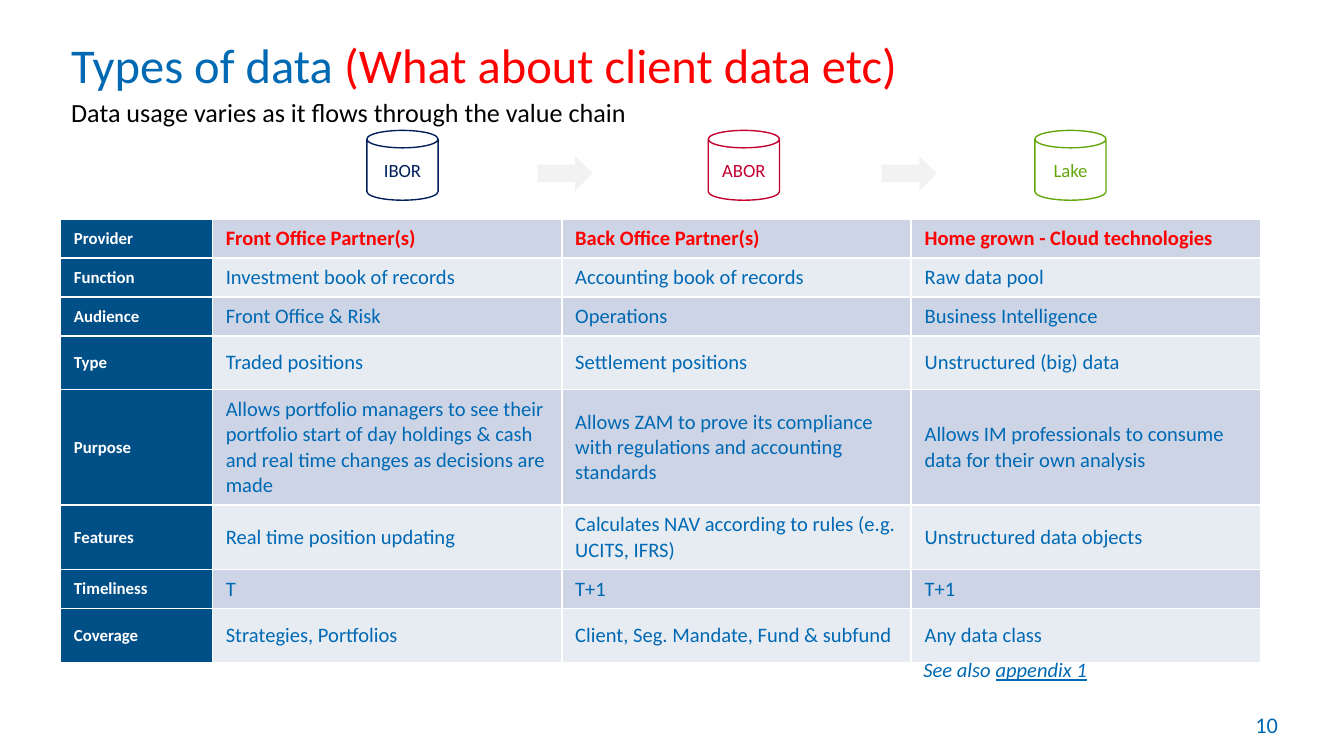
from dataclasses import dataclass

import pptx
import pptx.dml.color
import pptx.enum.shapes
import pptx.enum.text
import pptx.util
from pptx.util import Inches

ANCHOR = pptx.enum.text.MSO_ANCHOR
ALIGN = pptx.enum.text.PP_ALIGN
SHAPE = pptx.enum.shapes.MSO_SHAPE


@dataclass(frozen=True)
class Theme:
    font: str = "Calibri"
    blue: str = "0069B4"
    red: str = "FF0000"
    black: str = "000000"
    white: str = "FFFFFF"
    header: str = "004F87"
    bands: tuple = ("CCD4E5", "E7EBF2")
    arrow: str = "F2F2F2"
    title_size: float = 26
    subtitle_size: float = 14
    page_size: float = 12
    body_size: float = 11
    store_size: float = 10
    label_size: float = 9


@dataclass(frozen=True)
class Store:
    name: str
    left: float
    color: str


@dataclass(frozen=True)
class Row:
    label: str
    height: float
    values: tuple


THEME = Theme()

SLIDE_WIDTH = 10
SLIDE_HEIGHT = SLIDE_WIDTH * 9 / 16

STORES = (
    Store("IBOR", 2.73, "001F5B"),
    Store("ABOR", 5.27, "C3002F"),
    Store("Lake", 7.7, "63A70A"),
)
ARROW_LEFTS = (4, 6.56)
COLUMN_WIDTHS = (1.13, 2.6, 2.6, 2.6)

ROWS = (
    Row("Provider", 0.29, ("Front Office Partner(s)", "Back Office Partner(s)",
                           "Home grown - Cloud technologies")),
    Row("Function", 0.29, ("Investment book of records", "Accounting book of records",
                           "Raw data pool")),
    Row("Audience", 0.29, ("Front Office & Risk", "Operations", "Business Intelligence")),
    Row("Type", 0.4, ("Traded positions", "Settlement positions", "Unstructured (big) data")),
    Row("Purpose", 0.86, (
        "Allows portfolio managers to see their portfolio start of day holdings & cash "
        "and real time changes as decisions are made",
        "Allows ZAM to prove its compliance with regulations and accounting standards",
        "Allows IM professionals to consume data for their own analysis")),
    Row("Features", 0.48, ("Real time position updating",
                           "Calculates NAV according to rules (e.g. UCITS, IFRS)",
                           "Unstructured data objects")),
    Row("Timeliness", 0.29, ("T", "T+1", "T+1")),
    Row("Coverage", 0.4, ("Strategies, Portfolios", "Client, Seg. Mandate, Fund & subfund",
                          "Any data class")),
)


def rgb(color: str) -> pptx.dml.color.RGBColor:
    return pptx.dml.color.RGBColor.from_string(color)


def write(paragraph, text: str, *, size: float, color: str, bold: bool = False,
          italic: bool = False, underline: bool = False) -> None:
    run = paragraph.add_run()
    run.text = text
    font = run.font
    font.name, font.size, font.color.rgb = THEME.font, pptx.util.Pt(size), rgb(color)
    font.bold, font.italic, font.underline = bold, italic, underline


def set_margins(frame, left: float = 0, top: float = 0, right: float = 0,
                bottom: float = 0) -> None:
    frame.margin_left, frame.margin_top = Inches(left), Inches(top)
    frame.margin_right, frame.margin_bottom = Inches(right), Inches(bottom)


def add_text_box(slide, left: float, top: float, width: float, height: float,
                 anchor=ANCHOR.TOP, spacing=None, wrap: bool = True):
    box = slide.shapes.add_textbox(Inches(left), Inches(top), Inches(width), Inches(height))
    frame = box.text_frame
    frame.word_wrap = wrap
    frame.vertical_anchor = anchor
    set_margins(frame)
    frame.paragraphs[0].line_spacing = spacing
    return frame


def add_filled_shape(slide, kind, left: float, top: float, width: float, height: float,
                     fill: str):
    shape = slide.shapes.add_shape(kind, Inches(left), Inches(top), Inches(width),
                                   Inches(height))
    shape.shadow.inherit = False
    shape.fill.solid()
    shape.fill.fore_color.rgb = rgb(fill)
    shape.line.fill.background()
    return shape


def add_store(slide, store: Store) -> None:
    shape = add_filled_shape(slide, SHAPE.CAN, store.left, 0.97, 0.53, 0.52, THEME.white)
    shape.line.color.rgb = rgb(store.color)
    shape.line.width = pptx.util.Pt(0.75)
    frame = shape.text_frame
    set_margins(frame)
    frame.vertical_anchor = ANCHOR.MIDDLE
    paragraph = frame.paragraphs[0]
    paragraph.alignment = ALIGN.CENTER
    write(paragraph, store.name, size=THEME.store_size, color=store.color)


def fill_cell(cell, text: str, fill: str, size: float, color: str, bold: bool) -> None:
    cell.fill.solid()
    cell.fill.fore_color.rgb = rgb(fill)
    cell.vertical_anchor = ANCHOR.MIDDLE
    write(cell.text_frame.paragraphs[0], text, size=size, color=color, bold=bold)


def add_usage_table(slide) -> None:
    frame = slide.shapes.add_table(
        len(ROWS), len(COLUMN_WIDTHS), Inches(0.45), Inches(1.63),
        Inches(sum(COLUMN_WIDTHS)), Inches(sum(row.height for row in ROWS)))
    table = frame.table
    table.first_row = table.horz_banding = False
    for column, width in zip(table.columns, COLUMN_WIDTHS):
        column.width = Inches(width)
    for index, row in enumerate(ROWS):
        table.rows[index].height = Inches(row.height)
        fill_cell(table.cell(index, 0), row.label, THEME.header, THEME.label_size,
                  THEME.white, True)
        provider = index == 0
        for column, value in enumerate(row.values, 1):
            fill_cell(table.cell(index, column), value, THEME.bands[index % 2],
                      THEME.body_size, THEME.red if provider else THEME.blue, provider)


def main() -> None:
    presentation = pptx.Presentation()
    presentation.slide_width = Inches(SLIDE_WIDTH)
    presentation.slide_height = Inches(SLIDE_HEIGHT)
    slide = presentation.slides.add_slide(presentation.slide_layouts[6])

    page = add_text_box(slide, 9.04, 5.25, 0.81, 0.3, ANCHOR.BOTTOM, 0.9)
    set_margins(page, 0.3, 0.06, 0.11, 0.06)
    write(page.paragraphs[0], "10", size=THEME.page_size, color=THEME.blue)

    title = add_text_box(slide, 0.53, 0.27, 8.95, 0.42, ANCHOR.BOTTOM, pptx.util.Pt(29))
    write(title.paragraphs[0], "Types of data ", size=THEME.title_size, color=THEME.blue)
    write(title.paragraphs[0], "(What about client data etc)", size=THEME.title_size,
          color=THEME.red)

    subtitle = add_text_box(slide, 0.53, 0.74, 8.94, 0.24, spacing=pptx.util.Pt(15.3))
    write(subtitle.paragraphs[0], "Data usage varies as it flows through the value chain",
          size=THEME.subtitle_size, color=THEME.black)

    for store in STORES:
        add_store(slide, store)
    for left in ARROW_LEFTS:
        add_filled_shape(slide, SHAPE.RIGHT_ARROW, left, 1.16, 0.41, 0.26, THEME.arrow)
    add_usage_table(slide)

    note = add_text_box(slide, 6.87, 4.85, 1.22, 0.22, spacing=pptx.util.Pt(16), wrap=False)
    write(note.paragraphs[0], "See also ", size=THEME.body_size, color=THEME.blue, italic=True)
    write(note.paragraphs[0], "appendix 1", size=THEME.body_size, color=THEME.blue,
          italic=True, underline=True)

    presentation.save("out.pptx")


if __name__ == "__main__":
    main()
